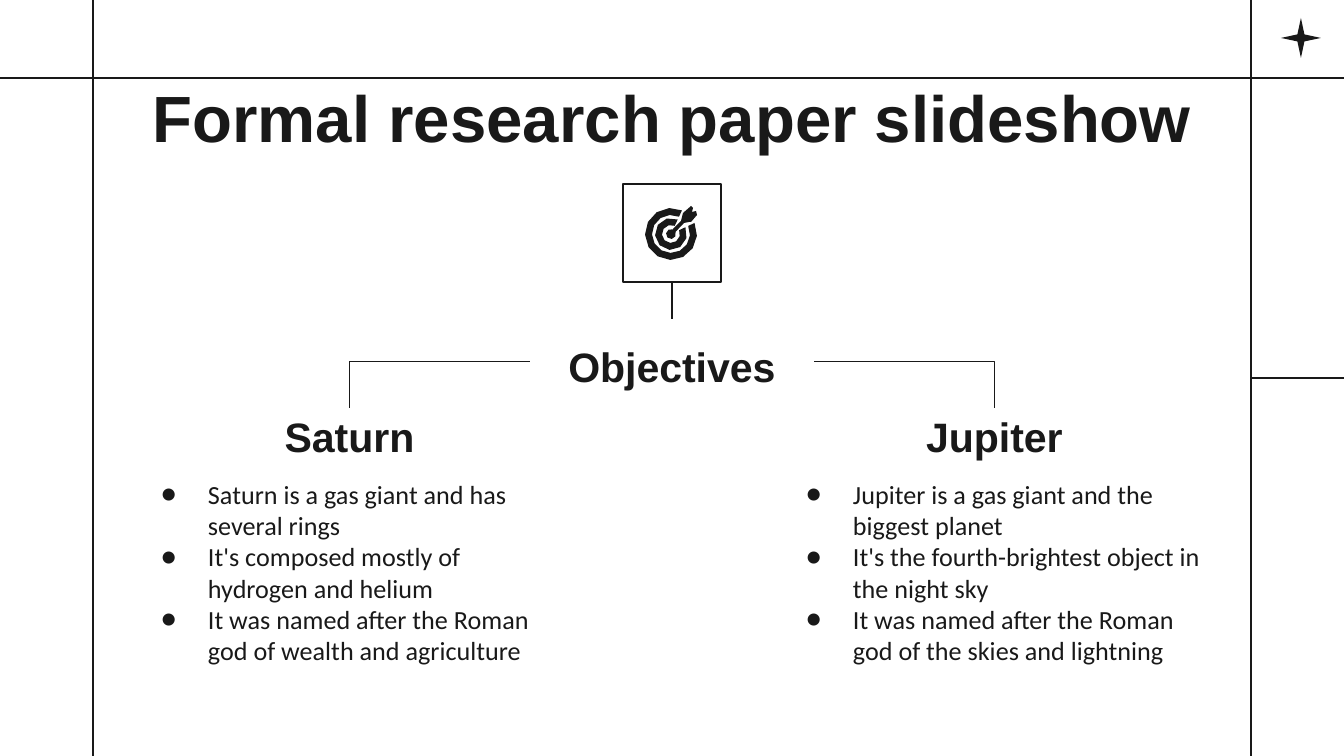
from math import cos, radians, sin

from lxml import etree
from pptx import Presentation
from pptx.dml.color import RGBColor
from pptx.enum.shapes import MSO_CONNECTOR, MSO_SHAPE
from pptx.enum.text import MSO_ANCHOR, MSO_AUTO_SIZE, PP_ALIGN
from pptx.oxml.ns import qn
from pptx.util import Emu, Pt

STRAIGHT, ELBOW = MSO_CONNECTOR.STRAIGHT, MSO_CONNECTOR.ELBOW
STAR, RECTANGLE = MSO_SHAPE.STAR_4_POINT, MSO_SHAPE.RECTANGLE
TOP, BOTTOM = MSO_ANCHOR.TOP, MSO_ANCHOR.BOTTOM
LEFT, CENTER = PP_ALIGN.LEFT, PP_ALIGN.CENTER
NO_AUTOFIT = MSO_AUTO_SIZE.NONE
SIDE_TOP, SIDE_LEFT, SIDE_BOTTOM, SIDE_RIGHT = range(4)

EMU_PER_PX = 914400 / 134.4
WIDTH, HEIGHT = 1344, 756
INK = "191919"
HEADING_FONT, BODY_FONT = "Arial", "Calibri"

PLANETS = [
    (128, "Saturn", [
        "Saturn is a gas giant and has several rings",
        "It's composed mostly of hydrogen and helium",
        "It was named after the Roman god of wealth and agriculture",
    ]),
    (773, "Jupiter", [
        "Jupiter is a gas giant and the biggest planet",
        "It's the fourth-brightest object in the night sky",
        "It was named after the Roman god of the skies and lightning",
    ]),
]


def px(length):
    return Emu(round(length * EMU_PER_PX))


def color(value):
    return RGBColor.from_string(value)


def fill_ink(shape):
    shape.shadow.inherit = False
    shape.fill.solid()
    shape.fill.fore_color.rgb = color(INK)
    shape.line.fill.background()


def add_line(slide, start=(0, 0), end=(0, 0), kind=STRAIGHT):
    line = slide.shapes.add_connector(kind, *map(px, (*start, *end)))
    line.line.color.rgb = color(INK)
    line.line.width = Pt(0.75)
    etree.SubElement(line._element.spPr, qn("a:effectLst"))
    return line


def join(slide, origin, origin_side, target, target_side, kind=STRAIGHT):
    line = add_line(slide, kind=kind)
    line.begin_connect(origin, origin_side)
    line.end_connect(target, target_side)
    if kind == ELBOW:
        line._element.spPr.find(qn("a:prstGeom")).set("prst", "bentConnector2")


def add_bullet(paragraph):
    properties = paragraph._p.get_or_add_pPr()
    properties.set("marL", str(px(67)))
    properties.set("indent", str(px(-47)))
    bullet_color = etree.SubElement(properties, qn("a:buClr"))
    etree.SubElement(bullet_color, qn("a:srgbClr")).set("val", INK)
    etree.SubElement(properties, qn("a:buFont")).set("typeface", BODY_FONT)
    etree.SubElement(properties, qn("a:buChar")).set("char", "●")


def write(shape, text, size, font=HEADING_FONT, bold=True, align=CENTER,
          anchor=BOTTOM, bulleted=False):
    frame = shape.text_frame
    frame.text = text
    frame.word_wrap = True
    frame.auto_size = NO_AUTOFIT
    frame.vertical_anchor = anchor
    frame.margin_left = frame.margin_right = px(13)
    frame.margin_top = frame.margin_bottom = px(13)
    for paragraph in frame.paragraphs:
        paragraph.alignment = align
        if bulleted:
            add_bullet(paragraph)
        for run in paragraph.runs:
            run.font.name = font
            run.font.size = Pt(size)
            run.font.bold = bold
            run.font.color.rgb = color(INK)


def add_text(slide, box, text, size, **style):
    shape = slide.shapes.add_textbox(*map(px, box))
    write(shape, text, size, **style)
    return shape


def add_frame(slide, left, top, width, height):
    right, bottom, bleed = left + width, top + height, 5
    rail_left, rail_right, rule = left + 93, right - 93, top + 78
    star = slide.shapes.add_shape(STAR, *map(px, (right - 63, top + 18, 40, 40)))
    star.adjustments[0] = 0.125
    fill_ink(star)
    middle = top + height // 2
    add_line(slide, (rail_right, middle), (right, middle))
    for rail in (rail_left, rail_right):
        add_line(slide, (rail, top - bleed), (rail, bottom + bleed))
    add_line(slide, (left - bleed, rule), (right + bleed, rule))


def add_title(slide, left, top, width, height):
    title = slide.shapes.title
    title.left, title.top = px(left), px(top)
    title.width, title.height = px(width), px(height)
    write(title, "Formal research paper slideshow", 35)


def arc(radius, steps, start=-25, end=295):
    angles = [radians(start + (end - start) * i / steps) for i in range(steps + 1)]
    return [(radius * cos(angle), radius * sin(angle)) for angle in angles]


def add_target(slide, left, top, size):
    tile = slide.shapes.add_shape(RECTANGLE, *map(px, (left, top, size, size)))
    tile.shadow.inherit = False
    tile.fill.background()
    tile.line.color.rgb = color(INK)
    tile.line.width = Pt(0.75)

    center_x, center_y = left + size / 2 - 1, top + size / 2 + 1
    arrow = arc(5, 6) + [
        (2, -5), (10, -13), (12, -21), (20, -28), (22, -26), (21, -22),
        (25, -23), (26, -19), (20, -12), (18, -12), (13, -11),
    ]
    rings = [arc(outer, steps) + arc(inner, steps)[::-1]
             for outer, inner, steps in ((16, 9, 8), (26, 19, 11))]
    for outline in [arrow] + rings:
        points = [(px(center_x + x), px(center_y + y)) for x, y in outline]
        builder = slide.shapes.build_freeform(*points[0], scale=1.0)
        builder.add_line_segments(points[1:], close=True)
        fill_ink(builder.convert_to_shape())
    return tile


def add_planet(slide, left, top, width, name, facts):
    heading = add_text(slide, (left, top, width, 66), name, 22)
    add_text(slide, (left, top + 57, width, 211), "\n".join(facts), 14,
             font=BODY_FONT, bold=False, align=LEFT, anchor=TOP, bulleted=True)
    return heading


def add_objectives_tree(slide, left, top, width):
    middle = left + width // 2
    objectives = add_text(slide, (middle - 142, top + 135, 284, 85), "Objectives", 22)
    tile = add_target(slide, middle - 49, top, 98)
    join(slide, objectives, SIDE_TOP, tile, SIDE_BOTTOM)
    for side, (planet_left, name, facts) in zip((SIDE_LEFT, SIDE_RIGHT), PLANETS):
        heading = add_planet(slide, planet_left, top + 224, 443, name, facts)
        join(slide, objectives, side, heading, SIDE_TOP, ELBOW)


def main():
    deck = Presentation()
    deck.slide_width, deck.slide_height = px(WIDTH), px(HEIGHT)
    slide = deck.slides.add_slide(deck.slide_layouts[5])
    add_frame(slide, 0, 0, WIDTH, HEIGHT)
    add_title(slide, 106, 78, 1133, 91)
    add_objectives_tree(slide, 128, 184, 1088)
    deck.save("out.pptx")


if __name__ == "__main__":
    main()
